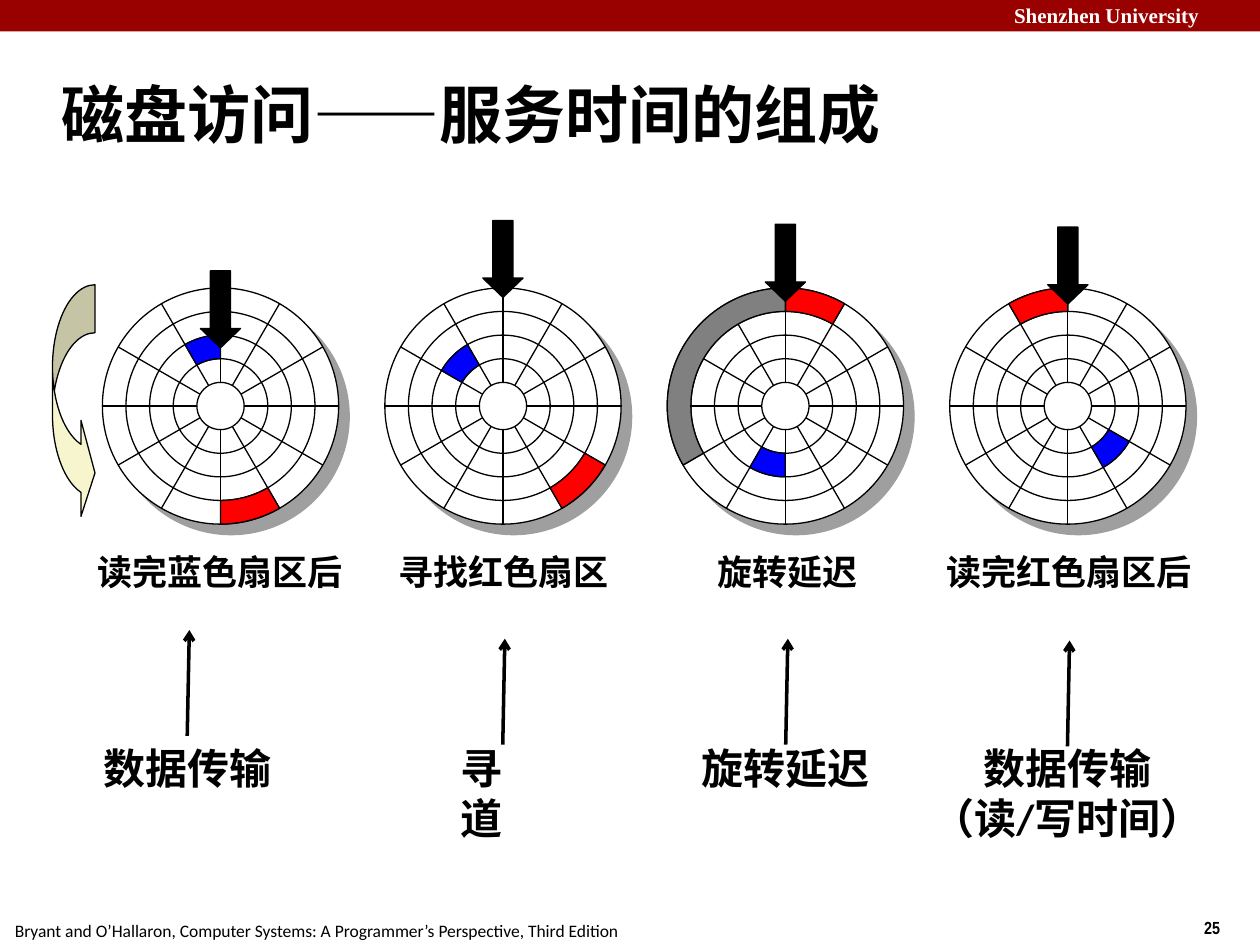
import math

import pptx
import pptx.dml.color
import pptx.enum.shapes
import pptx.enum.text
import pptx.oxml
import pptx.oxml.ns
import pptx.util

Pt = pptx.util.Pt
RGBColor = pptx.dml.color.RGBColor
MSO_SHAPE = pptx.enum.shapes.MSO_SHAPE
LEFT = pptx.enum.text.PP_ALIGN.LEFT
CENTER = pptx.enum.text.PP_ALIGN.CENTER
TOP = pptx.enum.text.MSO_ANCHOR.TOP
MIDDLE = pptx.enum.text.MSO_ANCHOR.MIDDLE

BLACK = RGBColor(0x00, 0x00, 0x00)
WHITE = RGBColor(0xFF, 0xFF, 0xFF)
RED = RGBColor(0xFF, 0x00, 0x00)
BLUE = RGBColor(0x00, 0x00, 0xFF)
GREY = RGBColor(0x80, 0x80, 0x80)
CREAM = RGBColor(0xF7, 0xF5, 0xCD)
BANNER = RGBColor(0x99, 0x00, 0x00)

DISK_X, DISK_Y, DISK_STEP = 126, 232, 161.4
RADII = [67.5, 54, 40.5, 27, 13.5]
OUTER_TRACK = (54, 67.5)
INNER_TRACK = (27, 40.5)
LABEL_TOP = 420.5

# Per disk: top of the head arrow, then sectors as (track, start, end, colour),
# in degrees clockwise from the top.
DISKS = [
    (154.8, [(INNER_TRACK, 330, 360, BLUE), (OUTER_TRACK, 150, 180, RED)]),
    (126, [(OUTER_TRACK, 120, 150, RED), (INNER_TRACK, 300, 330, BLUE)]),
    (128.2, [(OUTER_TRACK, 0, 30, RED), (INNER_TRACK, 180, 210, BLUE),
             (OUTER_TRACK, 240, 360, GREY)]),
    (129.8, [(OUTER_TRACK, 330, 360, RED), (INNER_TRACK, 120, 150, BLUE)]),
]

# Text, left, width
CAPTIONS = [
    ("读完蓝色扇区后", 41.8, 168),
    ("寻找红色扇区", 216, 144),
    ("旋转延迟", 354, 192),
    ("读完红色扇区后", 527, 168),
]

# Lines, left, width, height, alignment, wrap, start of the pointer
PHASES = [
    (["数据传输"], 51.8, 110.4, 36, LEFT, False, LABEL_TOP),
    (["寻道"], 256.3, 62, 36, LEFT, False, 425.5),
    (["旋转延迟"], 383.8, 130.4, 36, CENTER, True, 425.5),
    (["数据传输", "（读/写时间）"], 520, 180, 65, CENTER, False, 426.5),
]


def add_text(s, lines, left, top, width, height, size, font="Calibri",
             color=BLACK, bold=True, align=LEFT, anchor=TOP, wrap=True):
    box = s.shapes.add_textbox(Pt(left), Pt(top), Pt(width), Pt(height))
    tf = box.text_frame
    tf.word_wrap = wrap
    tf.vertical_anchor = anchor
    for i, line in enumerate(lines):
        p = tf.add_paragraph() if i else tf.paragraphs[0]
        p.alignment = align
        r = p.add_run()
        r.text = line
        r.font.name = font
        r.font.size = Pt(size)
        r.font.bold = bold
        r.font.color.rgb = color
    return box


def paint(sp, fill, outlined=True):
    sp.shadow.inherit = False
    sp.fill.solid()
    sp.fill.fore_color.rgb = fill
    if outlined:
        sp.line.color.rgb = BLACK
        sp.line.width = Pt(0.75)
    else:
        sp.line.fill.background()


def add_preset(shapes, kind, left, top, width, height, fill, adjustments=(),
               outlined=True):
    sp = shapes.add_shape(kind, Pt(left), Pt(top), Pt(width), Pt(height))
    for i, value in enumerate(adjustments):
        sp.adjustments[i] = value
    paint(sp, fill, outlined)
    return sp


def add_line(shapes, x1, y1, x2, y2, width):
    line = shapes.add_connector(pptx.enum.shapes.MSO_CONNECTOR.STRAIGHT,
                                Pt(x1), Pt(y1), Pt(x2), Pt(y2))
    line.line.color.rgb = BLACK
    line.line.width = Pt(width)
    line._element.spPr.append(pptx.oxml.parse_xml(
        f'<a:effectLst {pptx.oxml.ns.nsdecls("a")}/>'))
    return line


def add_drop_shadow(sp):
    """Cast a grey shadow 8.5 points down and to the right."""
    effects = sp._element.spPr.find(pptx.oxml.ns.qn("a:effectLst"))
    effects.append(pptx.oxml.parse_xml(
        f'<a:outerShdw {pptx.oxml.ns.nsdecls("a")} dist="{Pt(8.5)}" '
        'dir="2700000" algn="ctr" rotWithShape="0"><a:srgbClr val="808080">'
        '<a:alpha val="75000"/></a:srgbClr></a:outerShdw>'))


def polar(cx, radius, degrees):
    a = math.radians(degrees)
    return cx + radius * math.sin(a), DISK_Y - radius * math.cos(a)


def add_sector(shapes, cx, track, start, end, fill):
    inner, outer = track
    angles = range(start, end + 1, 3)
    points = [polar(cx, outer, a) for a in angles]
    points += [polar(cx, inner, a) for a in reversed(angles)]
    points = [(Pt(x), Pt(y)) for x, y in points]
    builder = shapes.build_freeform(*points[0], scale=1.0)
    builder.add_line_segments(points[1:], close=True)
    paint(builder.convert_to_shape(), fill)


def add_disk(s, cx, head_top, sectors):
    shapes = s.shapes.add_group_shape().shapes

    def add_ring(radius):
        return add_preset(shapes, MSO_SHAPE.OVAL, cx - radius,
                          DISK_Y - radius, 2 * radius, 2 * radius, WHITE)

    platter, *tracks, hub = RADII
    add_drop_shadow(add_ring(platter))
    for radius in tracks:
        add_ring(radius)
    for angle in range(0, 180, 30):
        add_line(shapes, *polar(cx, platter, angle),
                 *polar(cx, platter, angle + 180), 0.75)
    add_ring(hub)
    for sector in sectors:
        add_sector(shapes, cx, *sector)
    add_preset(shapes, MSO_SHAPE.DOWN_ARROW, cx - 11.5, head_top, 23, 44,
               BLACK, (0.5, 0.48))


def add_phase(s, lines, left, width, height, align, wrap, start):
    """Add a phase name and the arrow that points from it to its disk."""
    box = add_text(s, lines, left, LABEL_TOP, width, height, 24,
                   align=align, wrap=wrap)
    x = left + width / 2
    pointer = add_line(s.shapes, x, start, x + 1.2, start - 60.5, 2)
    if start == LABEL_TOP:
        pointer.begin_connect(box, 0)
    pointer.line._get_or_add_ln().append(pptx.oxml.parse_xml(
        f'<a:tailEnd {pptx.oxml.ns.nsdecls("a")} type="arrow"/>'))


def add_frame(s):
    add_preset(s.shapes, MSO_SHAPE.RECTANGLE, 0, 0, 720, 18, BANNER,
               outlined=False)
    add_text(s, ["Shenzhen University"], 572.4, -2, 152.6, 21.6, 12,
             font="Times New Roman", color=WHITE)
    add_text(s, ["25"], 681, 520.6, 54, 19.4, 10, font="Arial Narrow")
    add_text(s, ["Bryant and O’Hallaron, Computer Systems: "
                 "A Programmer’s Perspective, Third Edition"],
             1.4, 522, 360.7, 19.4, 10, bold=False, wrap=False)


def main():
    prs = pptx.Presentation()
    prs.slide_width, prs.slide_height = Pt(720), Pt(540)
    s = prs.slides.add_slide(prs.slide_layouts[6])
    add_frame(s)
    add_text(s, ["磁盘访问——服务时间的组成"], 28, 34.6, 637, 59.8, 36,
             anchor=MIDDLE)
    for text, left, width in CAPTIONS:
        add_text(s, [text], left, 311, width, 31.7, 20, font="Arial Narrow",
                 align=CENTER)
    for i, (head_top, sectors) in enumerate(DISKS):
        add_disk(s, DISK_X + i * DISK_STEP, head_top, sectors)
    add_preset(s.shapes, MSO_SHAPE.CURVED_RIGHT_ARROW, 30, 162.7, 24.3, 135,
               CREAM, (1.13, 2.26, 0.33))
    for phase in PHASES:
        add_phase(s, *phase)
    prs.save("out.pptx")


if __name__ == "__main__":
    main()
